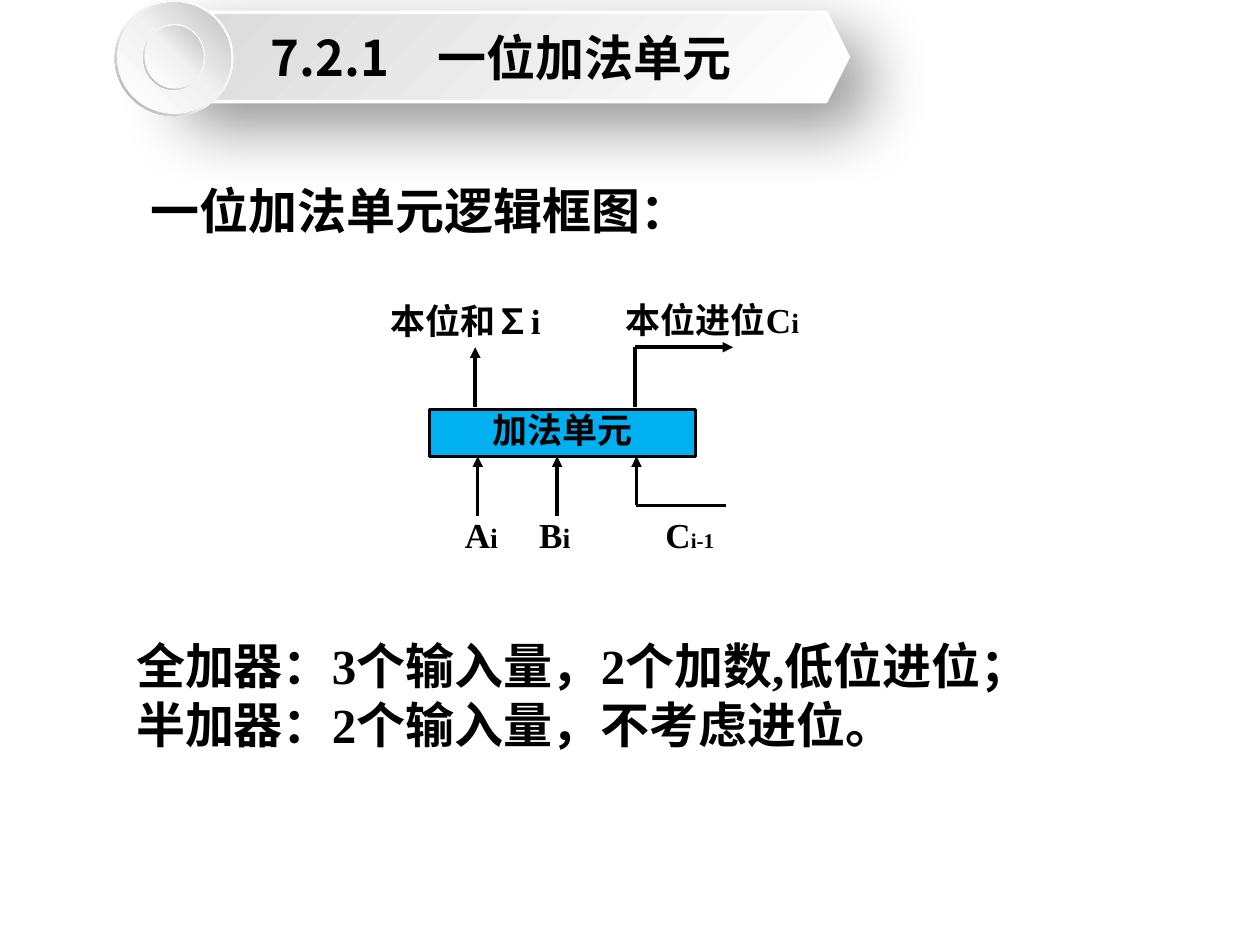
from lxml.etree import SubElement
from pptx import Presentation
from pptx.dml.color import RGBColor
from pptx.enum.shapes import MSO_CONNECTOR as Connector, MSO_SHAPE as Preset
from pptx.enum.text import MSO_ANCHOR as Anchor, MSO_AUTO_SIZE as AutoSize, PP_ALIGN as Align
from pptx.oxml.ns import qn
from pptx.util import Cm, Pt

RING_STOPS = [(0, "FFFFFF"), (55, "F2F2F2"), (100, "A6A6A6")]
DISC_STOPS = [(0, "FFFFFF"), (51, "F2F2F2"), (100, "BFBFBF")]
BANNER_STOPS = [(0, "FFFFFF"), (100, "D9D9D9")]


def color(value):
    return RGBColor.from_string(value)


def add_child(parent, tag, **attributes):
    return SubElement(parent, qn(tag), {key: str(value) for key, value in attributes.items()})


class SlideBuilder:
    text_font = "Times New Roman"
    title_font = "Noto Sans CJK SC"
    ink = "000000"
    line_width = Pt(2)
    large, medium = 28, 20
    large_leading, medium_leading = Pt(34), Pt(17.5)

    def __init__(self, presentation):
        self.slide = presentation.slides.add_slide(presentation.slide_layouts[1])
        self.shapes = self.slide.shapes

    def place(self, shape, box):
        shape.left, shape.top, shape.width, shape.height = (Cm(length) for length in box)

    def add_runs(self, paragraph, runs, leading=None, align=Align.LEFT, font=None):
        """Add (text, size) runs to a paragraph."""
        paragraph.alignment = align
        paragraph.space_before = Pt(0)
        if leading:
            paragraph.line_spacing = leading
        for text, size in runs:
            run = paragraph.add_run()
            run.text = text
            run.font.name = font or self.text_font
            run.font.size = Pt(size)
            run.font.bold = True
            run.font.color.rgb = color(self.ink)

    def title(self, text, box):
        title = self.shapes.title
        self.place(title, box)
        frame = title.text_frame
        frame.auto_size = AutoSize.NONE
        frame.vertical_anchor = Anchor.MIDDLE
        self.add_runs(frame.paragraphs[0], [(text, self.large)], align=Align.CENTER, font=self.title_font)
        # Bring the title in front of its banner
        self.shapes._spTree.append(title._element)

    def body(self, lines, box):
        body = self.slide.placeholders[1]
        self.place(body, box)
        frame = body.text_frame
        frame.auto_size = AutoSize.NONE
        for index, line in enumerate(lines):
            paragraph = frame.add_paragraph() if index else frame.paragraphs[0]
            properties = paragraph._p.get_or_add_pPr()
            properties.set("marL", "0")
            properties.set("indent", "0")
            add_child(properties, "a:buNone")
            self.add_runs(paragraph, [(line, self.large)], self.large_leading)

    def label(self, runs, box, leading=None, align=Align.CENTER):
        frame = self.shapes.add_textbox(*(Cm(length) for length in box)).text_frame
        frame.word_wrap = True
        self.add_runs(frame.paragraphs[0], runs, leading or self.medium_leading, align)

    def shape(self, preset, box, line=None):
        shape = self.shapes.add_shape(preset, *(Cm(length) for length in box))
        shape.shadow.inherit = False
        if line:
            shape.line.color.rgb = color(line)
            shape.line.width = self.line_width
        else:
            shape.line.fill.background()
        return shape

    def block(self, text, box, fill):
        shape = self.shape(Preset.RECTANGLE, box, self.ink)
        shape.fill.solid()
        shape.fill.fore_color.rgb = color(fill)
        frame = shape.text_frame
        frame.vertical_anchor = Anchor.MIDDLE
        frame.margin_top, frame.margin_bottom = Cm(0.2), Cm(0.13)
        self.add_runs(frame.paragraphs[0], [(text, self.medium)], self.medium_leading, Align.CENTER)

    def gradient(self, shape, stops, angle):
        shape.fill.gradient()
        gradient = shape._element.spPr.find(qn("a:gradFill"))
        for child in list(gradient):
            gradient.remove(child)
        stop_list = add_child(gradient, "a:gsLst")
        for position, value in stops:
            stop = add_child(stop_list, "a:gs", pos=position * 1000)
            add_child(stop, "a:srgbClr", val=value)
        add_child(gradient, "a:lin", ang=angle * 60000, scaled=0)

    def banner(self, box):
        shape = self.shape(Preset.HEXAGON, box, "FFFFFF")
        self.gradient(shape, BANNER_STOPS, 225)
        effects = shape._element.spPr.find(qn("a:effectLst"))
        shadow = add_child(effects, "a:outerShdw", blurRad=Pt(38), dist=Pt(19),
                           dir=45 * 60000, algn="tl", rotWithShape=0)
        add_child(add_child(shadow, "a:srgbClr", val="000000"), "a:alpha", val=42000)

    def dial(self, center_x, center_y, width, height, inset):
        """Draw a thin ring with a shaded disc inside it."""
        for preset, gap, stops, angle in ((Preset.DONUT, 0, RING_STOPS, 135),
                                          (Preset.OVAL, inset, DISC_STOPS, 315)):
            box = (center_x - width / 2 + gap, center_y - height / 2 + gap,
                   width - 2 * gap, height - 2 * gap)
            shape = self.shape(preset, box)
            if preset == Preset.DONUT:
                shape.adjustments[0] = 0.05
            self.gradient(shape, stops, angle)

    def line(self, start, end, arrow=False):
        connector = self.shapes.add_connector(
            Connector.STRAIGHT, *(Cm(length) for length in (*start, *end)))
        connector.line.color.rgb = color(self.ink)
        connector.line.width = self.line_width
        if arrow:
            add_child(connector.line._get_or_add_ln(), "a:tailEnd", type="triangle")
        add_child(connector._element.spPr, "a:effectLst")


def main():
    presentation = Presentation()
    presentation.slide_width, presentation.slide_height = Cm(25.4), Cm(19.05)
    builder = SlideBuilder(presentation)

    # Adder block
    block_top, block_bottom = 8.26, 9.2
    builder.block("加法单元", (8.66, block_top, 5.36, block_bottom - block_top), "00B0F0")

    # Inputs at equal steps, the last one bent to the right
    carry_x, carry_y = 12.83, 10.19
    for x, y in ((9.63, 10.41), (11.23, 10.41), (carry_x, carry_y)):
        builder.line((x, y), (x, block_bottom), arrow=True)
    builder.line((carry_x, carry_y), (14.63, carry_y))

    # Outputs
    output_x, output_y = 12.8, 7
    builder.line((9.58, 8.2), (9.58, output_y), arrow=True)
    builder.line((output_x, 8.2), (output_x, output_y))
    builder.line((output_x, output_y), (14.78, output_y), arrow=True)

    # Signal labels
    for letter, left in (("A", 9.12), ("B", 10.62)):
        builder.label([(letter, 20), ("i", 16)], (left, 10.46, 1.5, 0.86), align=Align.LEFT)
    builder.label([("C", 20), ("i-1", 12)], (11.81, 10.46, 4.19, 0.86))
    builder.label([("本位和∑i", 20)], (7.29, 6.15, 4.19, 0.89))
    builder.label([("本位进位C", 20), ("i", 16)], (12.01, 6.12, 4.7, 0.86))

    # Statements and heading
    builder.body(["全加器：3个输入量，2个加数,低位进位；", "半加器：2个输入量，不考虑进位。"],
                 (2.49, 12.67, 18.26, 3.84))
    builder.label([("一位加法单元逻辑框图：", 28)], (2.79, 3.51, 14.38, 1.45),
                  builder.large_leading, Align.LEFT)

    # Title banner with its round dial
    banner_box = (3.1, 0.25, 14, 1.8)
    builder.banner(banner_box)
    builder.dial(3.51, 1.17, 2.39, 2.34, 0.05)
    builder.dial(3.51, 1.15, 1.24, 1.32, 0.03)
    builder.title("7.2.1　一位加法单元", banner_box)

    presentation.save("out.pptx")


if __name__ == "__main__":
    main()
